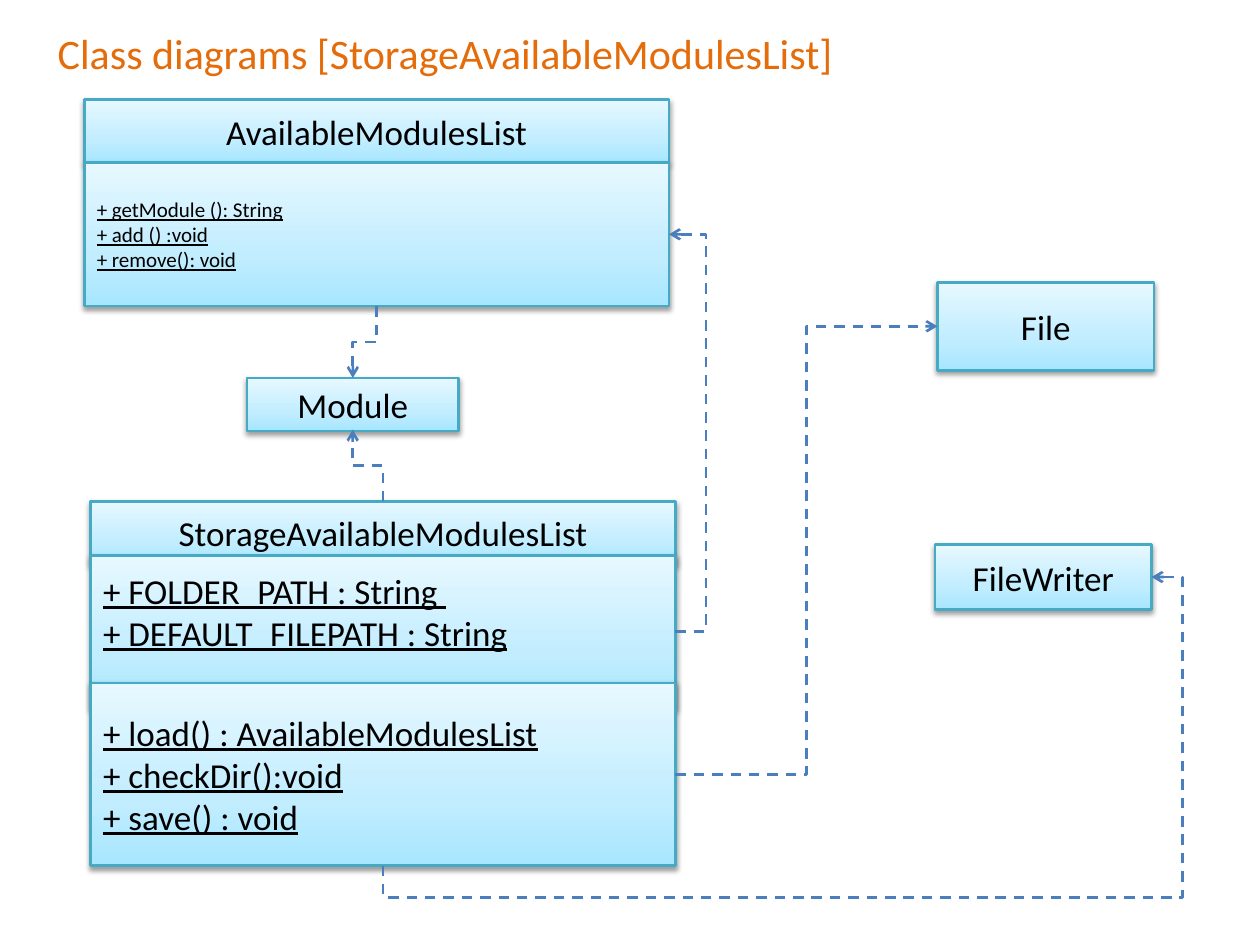
from copy import deepcopy

from lxml.etree import SubElement
from pptx import Presentation
from pptx.dml.color import RGBColor
from pptx.enum.dml import MSO_LINE
from pptx.enum.shapes import MSO_CONNECTOR, MSO_SHAPE
from pptx.enum.text import MSO_ANCHOR, PP_ALIGN
from pptx.oxml.ns import qn
from pptx.util import Inches, Pt

COLORS = {
    "title": "E46C0A",
    "text": "000000",
    "border": "46AAC5",
    "arrow": "4B7EBC",
    "shadow": "000000",
    "deep": "A7E6FF",
    "middle": "C1EDFF",
    "pale": "E7F8FF",
}
GRADIENT = [(0, "deep"), (0.35, "middle"), (1, "pale")]
FONT = "Calibri"

TITLE = "Class diagrams [StorageAvailableModulesList]"
NAME = {"align": PP_ALIGN.CENTER}
MEMBERS = {"underline": True}

CLASSES = [
    [
        ((0.72, 3.98, 4.64, 0.5), ["StorageAvailableModulesList"], NAME),
        ((0.72, 4.41, 4.64, 1.21),
         ["+ FOLDER_PATH : String ", "+ DEFAULT_FILEPATH : String"],
         {**MEMBERS, "bottom": 0.38}),
        ((0.72, 5.42, 4.64, 1.45),
         ["+ load() : AvailableModulesList", "+ checkDir():void", "+ save() : void"],
         MEMBERS),
    ],
    [
        ((0.67, 0.79, 4.64, 0.5), ["AvailableModulesList"], NAME),
        ((0.67, 1.29, 4.64, 1.14),
         ["+ getModule (): String", "+ add () :void", "+ remove(): void"],
         {**MEMBERS, "size": 12}),
    ],
    [((7.42, 4.32, 1.72, 0.52), ["FileWriter"], NAME)],
    [((1.96, 3, 1.68, 0.42), ["Module"], NAME)],
    [((7.44, 2.24, 1.72, 0.7), ["File"], NAME)],
]

DEPENDENCIES = [
    {"start": (5.36, 5.01), "end": (5.31, 1.86), "bends": [-4.86]},
    {"start": (3.04, 6.87), "end": (9.14, 4.58), "bends": [-0.11, 1.04], "vertical": True},
    {"start": (5.36, 6.15), "end": (7.44, 2.59), "bends": [0.5]},
    {"start": (2.99, 2.43), "end": (2.8, 3), "bends": [0.5], "vertical": True},
    {"start": (3.04, 3.98), "end": (2.8, 3.41), "bends": [0.5], "vertical": True},
]


def color(name):
    return RGBColor.from_string(COLORS[name])


def write_text(shape, lines, size=20, fill="text", align=PP_ALIGN.LEFT,
               underline=None, bottom=0.05):
    frame = shape.text_frame
    frame.word_wrap = True
    frame.vertical_anchor = MSO_ANCHOR.MIDDLE
    frame.margin_bottom = Inches(bottom)
    for index, line in enumerate(lines):
        paragraph = frame.paragraphs[0] if index == 0 else frame.add_paragraph()
        paragraph.alignment = align
        run = paragraph.add_run()
        run.text = line
        run.font.name = FONT
        run.font.size = Pt(size)
        run.font.underline = underline
        run.font.color.rgb = color(fill)


def paint_gradient(shape):
    shape.fill.gradient()
    shape.fill.gradient_angle = 90
    stop_list = shape._element.spPr.find(qn("a:gradFill")).find(qn("a:gsLst"))
    stop_list.append(deepcopy(stop_list[0]))
    for stop, (position, name) in zip(shape.fill.gradient_stops, GRADIENT):
        stop.position = position
        stop.color.rgb = color(name)


def cast_shadow(shape):
    shape.shadow.inherit = False
    effects = shape._element.spPr.find(qn("a:effectLst"))
    shadow = SubElement(effects, qn("a:outerShdw"), blurRad=str(Pt(3.1)),
                        dist=str(Pt(1.6)), dir="5400000", rotWithShape="0")
    tint = SubElement(shadow, qn("a:srgbClr"), val=COLORS["shadow"])
    SubElement(tint, qn("a:alpha"), val="38000")


def add_compartment(shapes, box, lines, text_format):
    shape = shapes.add_shape(MSO_SHAPE.RECTANGLE, *map(Inches, box))
    paint_gradient(shape)
    shape.line.color.rgb = color("border")
    shape.line.width = Pt(1.5)
    cast_shadow(shape)
    write_text(shape, lines, **text_format)


def add_dependency(shapes, start, end, bends, vertical=False):
    if vertical:
        center_x, center_y = (start[0] + end[0]) / 2, (start[1] + end[1]) / 2
        half_x, half_y = (end[1] - start[1]) / 2, (start[0] - end[0]) / 2
        start = center_x - half_x, center_y - half_y
        end = center_x + half_x, center_y + half_y
    connector = shapes.add_connector(MSO_CONNECTOR.ELBOW, *map(Inches, start + end))
    properties = connector._element.spPr
    if vertical:
        properties.find(qn("a:xfrm")).set("rot", "5400000")
    geometry = properties.find(qn("a:prstGeom"))
    geometry.set("prst", f"bentConnector{len(bends) + 2}")
    guides = geometry.find(qn("a:avLst"))
    for number, bend in enumerate(bends, 1):
        SubElement(guides, qn("a:gd"), name=f"adj{number}", fmla=f"val {round(bend * 100000)}")
    connector.line.color.rgb = color("arrow")
    connector.line.width = Pt(1.5)
    connector.line.dash_style = MSO_LINE.DASH
    SubElement(properties.find(qn("a:ln")), qn("a:tailEnd"), type="arrow")
    SubElement(properties, qn("a:effectLst"))


def main():
    presentation = Presentation()
    presentation.slide_width, presentation.slide_height = Inches(10), Inches(7.5)
    slide = presentation.slides.add_slide(presentation.slide_layouts[6])

    title = slide.shapes.add_textbox(*map(Inches, (0.36, 0.21, 7.64, 0.41)))
    write_text(title, [TITLE], size=24, fill="title")

    for compartments in CLASSES:
        grouped = len(compartments) > 1
        shapes = slide.shapes.add_group_shape().shapes if grouped else slide.shapes
        for box, lines, text_format in compartments:
            add_compartment(shapes, box, lines, text_format)

    for dependency in DEPENDENCIES:
        add_dependency(slide.shapes, **dependency)

    presentation.save("out.pptx")


if __name__ == "__main__":
    main()
